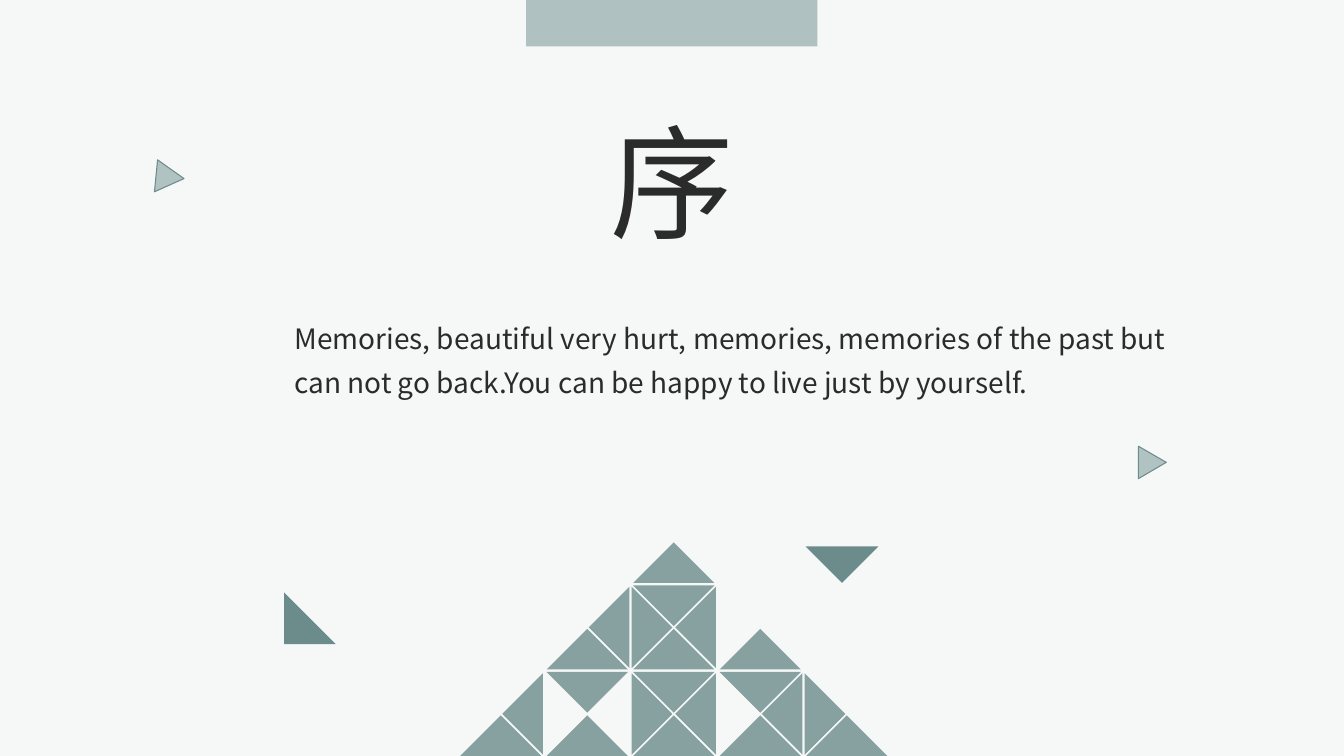
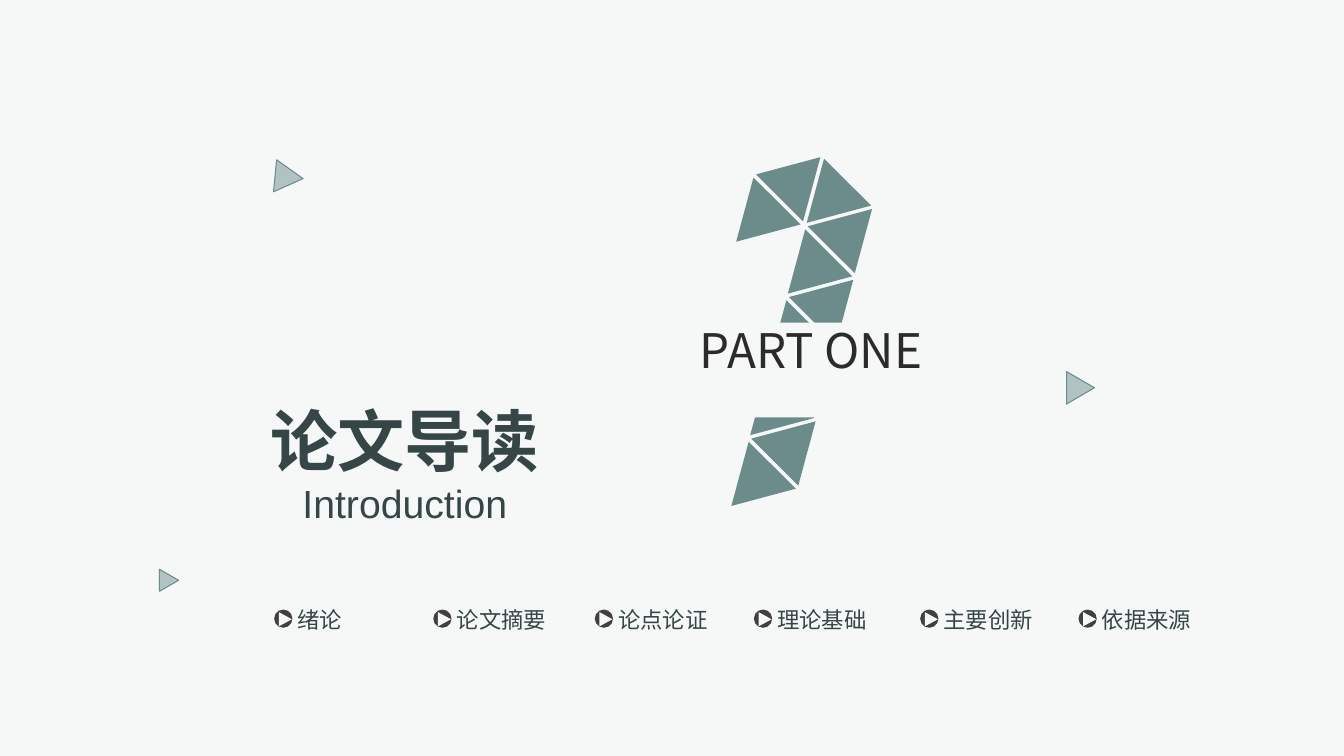
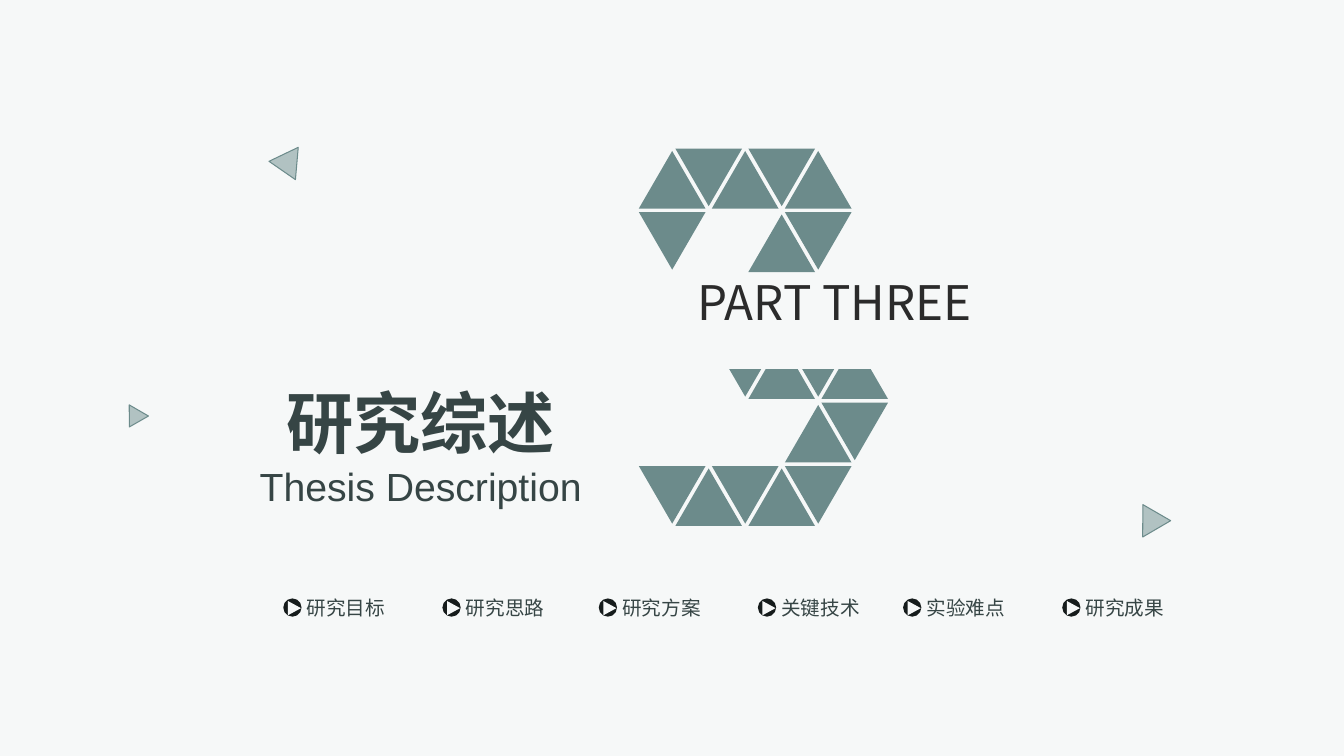
import math

import pptx
import pptx.util
import pptx.dml.color
import pptx.enum.shapes
import pptx.enum.text
import pptx.oxml.ns
import lxml.etree

Cm = pptx.util.Cm
Pt = pptx.util.Pt
Shape = pptx.enum.shapes.MSO_SHAPE
Align = pptx.enum.text.PP_ALIGN
Anchor = pptx.enum.text.MSO_ANCHOR
qn = pptx.oxml.ns.qn
hex_color = pptx.dml.color.RGBColor.from_string

PAPER, TEAL, PALE_TEAL = "F6F8F8", "6C8B8B", "B1C2C2"
INK, SLATE = "2B2B2B", "364545"
CJK, LATIN = "Noto Sans CJK SC", "Arial"


def draw(shapes, kind, place, color, rotation=0, opacity=None, outline=None):
    """Add a filled preset shape; place is left, top, width, height in cm."""
    shape = shapes.add_shape(kind, *map(Cm, place))
    shape.shadow.inherit = False
    shape.rotation = rotation
    shape.fill.solid()
    shape.fill.fore_color.rgb = hex_color(color)
    if opacity:
        solid = shape.fill._xPr.find(qn("a:solidFill"))
        lxml.etree.SubElement(solid[0], qn("a:alpha"), val=str(opacity * 1000))
    if outline:
        shape.line.color.rgb = hex_color(outline)
        shape.line.width = Pt(0.75)
    else:
        shape.line.fill.background()
    return shape


def write(box, lines, color, align=Align.CENTER, anchor=Anchor.MIDDLE, spacing=1.0, inset=True):
    """Fill a box with lines of (text, size, font, bold)."""
    frame = box.text_frame
    frame.text = "\n".join(line[0] for line in lines)
    frame.word_wrap = True
    frame.auto_size = pptx.enum.text.MSO_AUTO_SIZE.NONE
    frame.vertical_anchor = anchor
    if not inset:
        frame.margin_left = frame.margin_right = frame.margin_top = frame.margin_bottom = 0
    for paragraph, (text, size, font, bold) in zip(frame.paragraphs, lines):
        paragraph.alignment = align
        paragraph.line_spacing = spacing
        span = paragraph.runs[0]
        span.font.size = Pt(size)
        span.font.bold = bold
        span.font.color.rgb = hex_color(color)
        span.font.name = font
        lxml.etree.SubElement(span.font._element, qn("a:ea"), typeface=font)


deck = pptx.Presentation()
deck.slide_width, deck.slide_height = Cm(33.87), Cm(19.05)
background = deck.slide_master.background.fill
background.solid()
background.fore_color.rgb = hex_color(PAPER)
title_only = deck.slide_layouts[5]

# Each slide: title place and lines, title colour, scattered triangles (left, top, width, height, rotation)
BIG, SMALL = (0.81, 0.71), (0.56, 0.48)
slides = [
    ((14.76, 2.54, 4.37, 4.01), [("序", 88, CJK, False)], INK,
     [(3.88, 4.11, *BIG, 95.6), (28.46, 11.4, *BIG, 210)]),
    ((6.53, 9.91, 7.34, 3.51), [("论文导读", 48, CJK, True), ("Introduction", 28, LATIN, False)], SLATE,
     [(6.88, 4.11, *BIG, 95.6), (26.65, 9.52, *BIG, 210), (3.86, 14.45, *SMALL, 210)]),
    ((6.23, 9.46, 8.74, 3.51), [("研究综述", 48, CJK, True), ("Thesis Description", 28, LATIN, False)], SLATE,
     [(6.91, 3.65, *BIG, 34.7), (28.57, 12.87, *BIG, 210), (3.1, 10.31, *SMALL, 210)]),
]
pages = []
for place, lines, color, scattered in slides:
    page = deck.slides.add_slide(title_only)
    title = page.shapes.title
    title.left, title.top, title.width, title.height = map(Cm, place)
    write(title, lines, color)
    for left, top, width, height, rotation in scattered:
        draw(page.shapes, Shape.ISOSCELES_TRIANGLE, (left, top, width, height), PALE_TEAL,
             rotation, outline=TEAL)
    pages.append(page)

# Preface: top band, text, loose triangles and the mountain
preface = pages[0].shapes
draw(preface, Shape.RECTANGLE, (13.26, 0, 7.34, 1.17), TEAL, opacity=50)
draw(preface, Shape.RIGHT_TRIANGLE, (20.57, 13.12, 1.3, 1.3), TEAL, 315)
draw(preface, Shape.RIGHT_TRIANGLE, (7.16, 14.93, 1.3, 1.3), TEAL)
quote = preface.add_textbox(Cm(7.17), Cm(7.71), Cm(22.61), Cm(2.49))
write(quote, [("Memories, beautiful very hurt, memories, memories of the past but can not go back."
               "You can be happy to live just by yourself.", 20, CJK, False)],
      INK, Align.LEFT, spacing=1.3)

# Long sides sit on a square lattice; each tile is nudged the way it points
POINTING = {"up": (135, 0, -1), "down": (315, 0, 1), "left": (45, -1, 0), "right": (225, 1, 0)}
mountain_tiles = [
    (0, "up", (0, 2, 4, 6, 8)),
    (1, "left", (1, 5, 7)), (1, "right", (3, 7)),
    (2, "down", (2, 4, 6)), (2, "up", (2, 4, 6)),
    (3, "left", (3, 5)), (3, "right", (3,)),
    (4, "down", (4,)), (4, "up", (4,)),
]
STEP, SIDE, NUDGE = 1.09, 1.45, 0.03
mountain = preface.add_group_shape().shapes
for row, pointing, columns in mountain_tiles:
    rotation, across, down = POINTING[pointing]
    for column in columns:
        left = 12.62 + column * STEP + across * NUDGE - SIDE / 2
        top = 19.08 - row * STEP + down * NUDGE - SIDE / 2
        draw(mountain, Shape.RIGHT_TRIANGLE, (left, top, SIDE, SIDE), TEAL, rotation, opacity=80)

# Numerals lie on a lattice of triangles that point up and down in turn.
# Each string is one row and lists the columns that hold a tile.
TILE_WIDTH, TILE_HEIGHT = 1.68, 1.45
COLUMN_STEP, ROW_STEP, DOWN_LIFT = 0.92, 1.6, 0.06
ONE = ["234", "34", "23", "12", "01"]
THREE = ["01234", "034", "23", "2345", "45", "01234"]

# Each chapter: numeral rows, centre of its first cell, tilt, label and its place,
# topic size, dot colour, dot top, topics
chapters = [
    (ONE, (17.4, 5.65), -15, "PART ONE", (16.81, 8.13, 7.26, 2.39), 16, "404040", 15.36,
     [(6.91, "绪论"), (10.92, "论文摘要"), (14.99, "论点论证"),
      (19.0, "理论基础"), (23.19, "主要创新"), (27.18, "依据来源")]),
    (THREE, (16.94, 4.53), 0, "PART THREE", (16.96, 6.91, 8.15, 2.39), 14, "161C1C", 15.08,
     [(7.14, "研究目标"), (11.15, "研究思路"), (15.09, "研究方案"),
      (19.1, "关键技术"), (22.76, "实验难点"), (26.77, "研究成果")]),
]
for page, chapter in zip(pages[1:], chapters):
    numeral, (first_x, first_y), tilt, label, label_place, size, dot_color, dot_top, topics = chapter
    cosine, sine = math.cos(math.radians(tilt)), math.sin(math.radians(tilt))
    tiles = page.shapes.add_group_shape().shapes
    for row, columns in enumerate(numeral):
        for column in map(int, columns):
            points_down = (row + column) % 2
            across = column * COLUMN_STEP
            down = row * ROW_STEP - points_down * DOWN_LIFT
            left = first_x + across * cosine - down * sine - TILE_WIDTH / 2
            top = first_y + across * sine + down * cosine - TILE_HEIGHT / 2
            draw(tiles, Shape.ISOSCELES_TRIANGLE, (left, top, TILE_WIDTH, TILE_HEIGHT), TEAL,
                 tilt + 180 * points_down)

    part = draw(page.shapes, Shape.RECTANGLE, label_place, PAPER)
    write(part, [(label, 34, CJK, False)], INK, anchor=Anchor.TOP, spacing=0.9)

    for dot_left, topic in topics:
        entry = page.shapes.add_group_shape().shapes
        draw(entry, Shape.OVAL, (dot_left, dot_top, 0.46, 0.46), dot_color)
        draw(entry, Shape.ISOSCELES_TRIANGLE, (dot_left + 0.1, dot_top + 0.08, 0.36, 0.33), PAPER, 90)
        caption = entry.add_textbox(Cm(dot_left + 0.59), Cm(dot_top - 0.09), Cm(3.4), Cm(0.66))
        write(caption, [(topic, size, CJK, False)], SLATE, Align.LEFT, inset=False)

deck.save("out.pptx")
